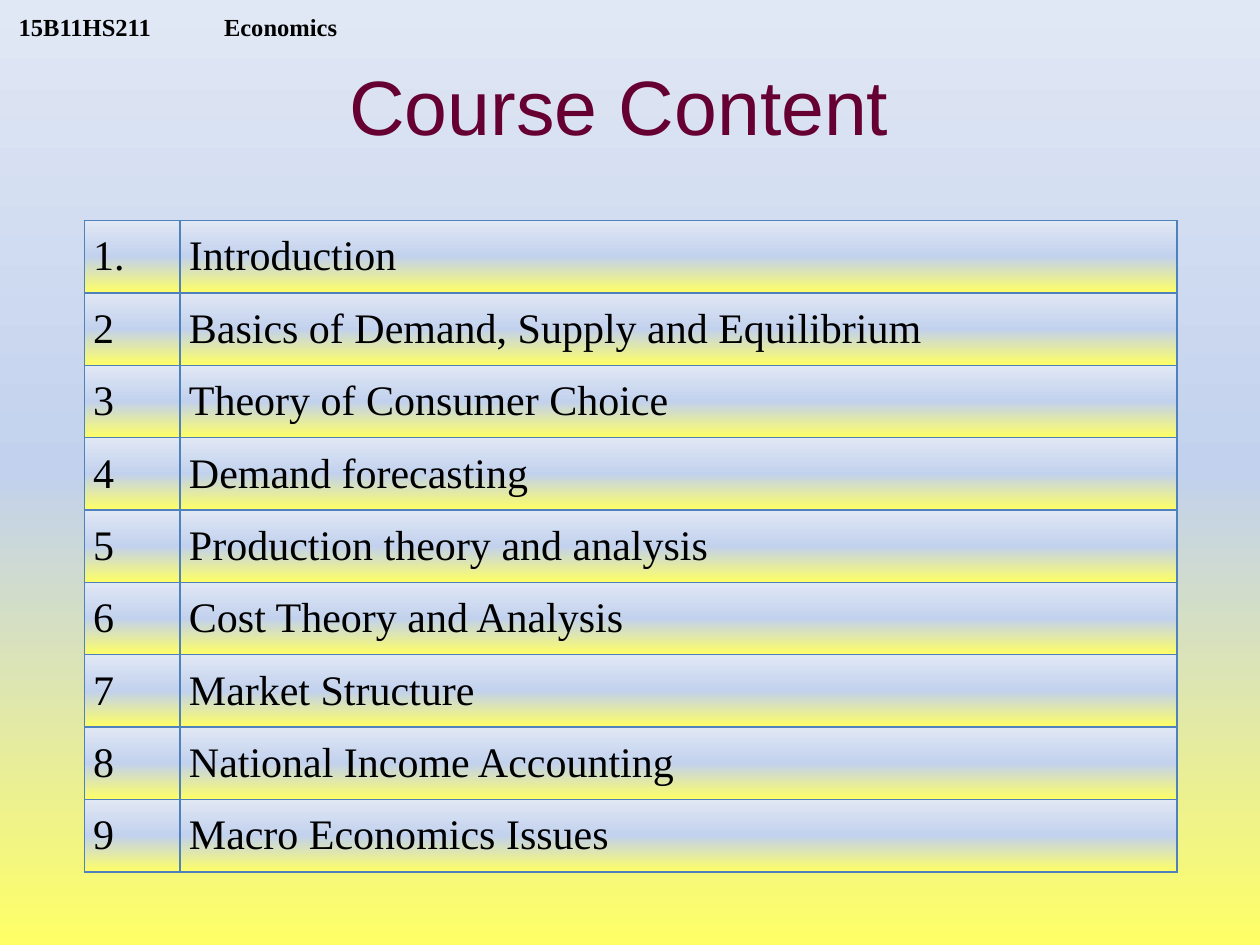
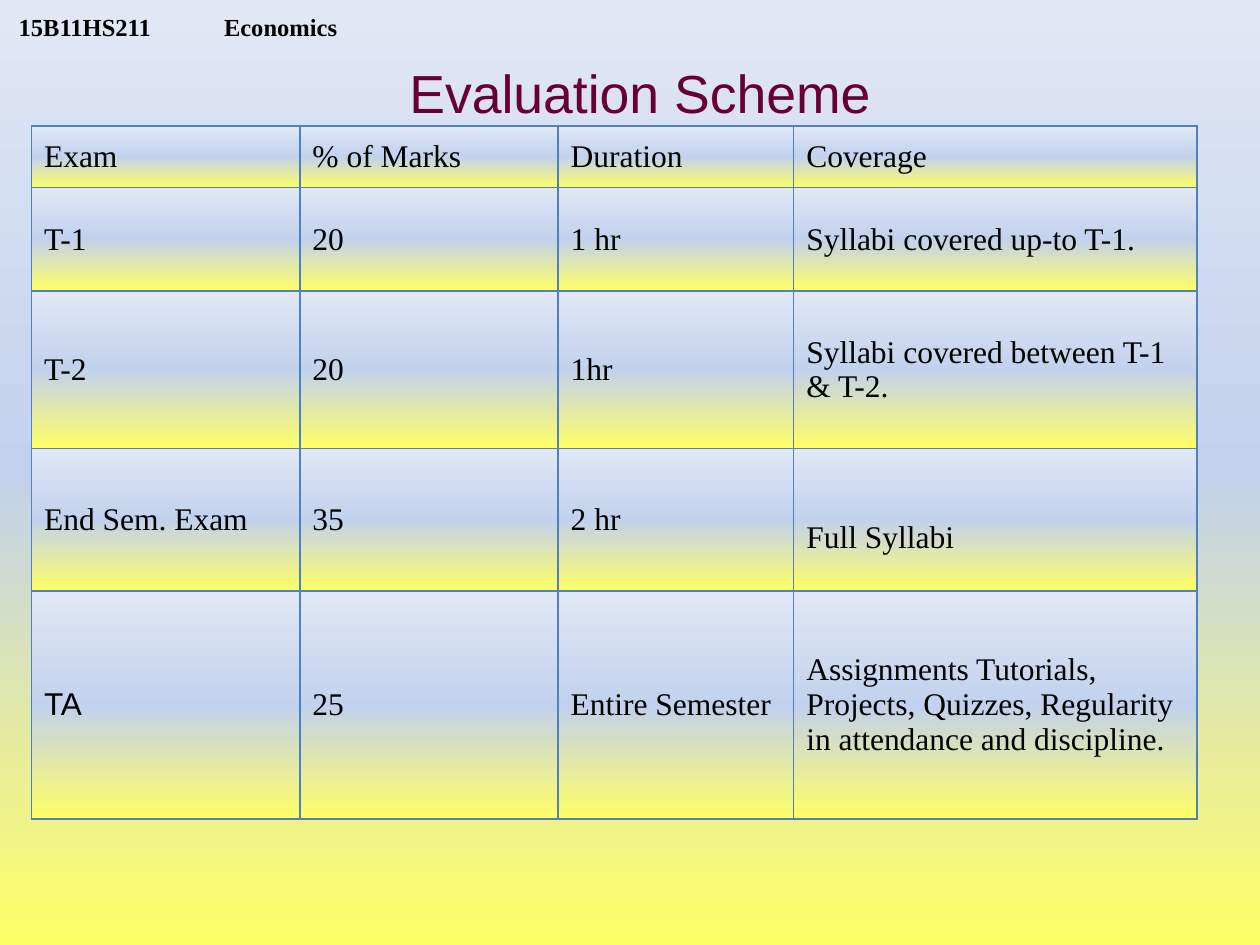
from copy import deepcopy

from lxml.etree import SubElement
from pptx import Presentation
from pptx.dml.color import RGBColor
from pptx.enum.text import MSO_ANCHOR, PP_ALIGN
from pptx.oxml import parse_xml
from pptx.oxml.ns import nsdecls, qn
from pptx.util import Inches, Pt

COLOURS = {
    "text": "000000",
    "title": "660033",
    "border": "4F81BD",
    "bottom": "FFFF66",
    "middle": "C2D1ED",
    "top": "E1E8F5",
}
SERIF, SANS = "Times New Roman", "Arial"

SLIDES = [
    {
        "title": "Course Content ",
        "title_box": (0.75, 0.41, 8.5, 0.84),
        "title_size": 44,
        "table_corner": (0.67, 1.75),
        "columns": [0.76, 7.91],
        "row_heights": [5.17 / 9] * 9,
        "text_size": 24,
        "margins": (0.07, 0),
        "rows": [
            ["1.", "Introduction"],
            ["2", "Basics of Demand, Supply and Equilibrium"],
            ["3", "Theory of Consumer Choice"],
            ["4", "Demand forecasting"],
            ["5", "Production theory and analysis"],
            ["6", "Cost Theory and Analysis"],
            ["7", "Market Structure"],
            ["8", "National Income Accounting"],
            ["9", "Macro Economics Issues"],
        ],
    },
    {
        "title": "Evaluation Scheme",
        "title_box": (0.83, 0.42, 8.5, 0.62),
        "title_size": 30.6,
        "table_corner": (0.25, 1),
        "columns": [2.13, 2.05, 1.87, 3.2],
        "row_heights": [0.49, 0.82, 1.25, 1.13, 1.81],
        "text_size": 18,
        "margins": (0.1, 0.05),
        "rows": [
            ["Exam", "% of Marks", "Duration", "Coverage"],
            ["T-1", "20", "1 hr", "Syllabi covered up-to T-1."],
            ["T-2", "20", "1hr", "Syllabi covered between T-1 & T-2."],
            ["End Sem. Exam", "35", "2 hr", "Full Syllabi"],
            ["TA", "25", "Entire Semester",
             "Assignments Tutorials, Projects, Quizzes, Regularity in attendance and discipline."],
        ],
    },
]


def fill_gradient(fill, parent):
    """Fill from yellow at the bottom to pale blue at the top; parent is the XML holding the fill."""
    fill.gradient()
    fill.gradient_angle = 90
    stops = parent.find(".//" + qn("a:gsLst"))
    stops.insert(1, deepcopy(stops[0]))
    for stop, position, name in zip(fill.gradient_stops, (0, 0.5, 1), ("bottom", "middle", "top")):
        stop.position = position
        stop.color.rgb = RGBColor.from_string(COLOURS[name])


def write_text(frame, text, size, font, colour="text", bold=False):
    frame.text = text
    frame.word_wrap = True
    for span in frame.paragraphs[0].runs:
        span.font.size = Pt(size)
        span.font.name = font
        span.font.bold = bold
        span.font.color.rgb = RGBColor.from_string(COLOURS[colour])


deck = Presentation()
deck.slide_width, deck.slide_height = Inches(10), Inches(7.5)
master_background = deck.slide_master.background
fill_gradient(master_background.fill, deck.slide_master.element.cSld)

for content in SLIDES:
    page = deck.slides.add_slide(deck.slide_layouts[6])

    # Course header, with the subject on a tab stop
    header = page.shapes.add_textbox(Inches(0.05), Inches(0), Inches(3.2), Inches(0.33)).text_frame
    write_text(header, "15B11HS211\tEconomics", 14, SERIF, bold=True)
    header.vertical_anchor = MSO_ANCHOR.BOTTOM
    header.margin_top = header.margin_bottom = 0
    tabs = SubElement(header.paragraphs[0]._p.get_or_add_pPr(), qn("a:tabLst"))
    SubElement(tabs, qn("a:tab"), pos=str(Inches(1.63)), algn="l")

    # Title
    title = page.shapes.add_textbox(*map(Inches, content["title_box"])).text_frame
    write_text(title, content["title"], content["title_size"], SANS, "title")
    title.vertical_anchor = MSO_ANCHOR.MIDDLE
    title.paragraphs[0].alignment = PP_ALIGN.CENTER

    # Table
    left, top = content["table_corner"]
    widths, heights = content["columns"], content["row_heights"]
    table = page.shapes.add_table(
        len(heights), len(widths), Inches(left), Inches(top),
        Inches(sum(widths)), Inches(sum(heights))).table
    table.first_row = table.horz_banding = False
    for column, width in zip(table.columns, widths):
        column.width = Inches(width)
    for row, height in zip(table.rows, heights):
        row.height = Inches(height)

    side_margin, end_margin = map(Inches, content["margins"])
    for row, texts in zip(table.rows, content["rows"]):
        for cell, text in zip(row.cells, texts):
            write_text(cell.text_frame, text, content["text_size"], SANS if text == "TA" else SERIF)
            cell.vertical_anchor = MSO_ANCHOR.MIDDLE
            cell.margin_left = cell.margin_right = side_margin
            cell.margin_top = cell.margin_bottom = end_margin
            if text == "Full Syllabi":
                cell.margin_top = Inches(0.33)  # sits one line lower than its row
            properties = cell._tc.get_or_add_tcPr()
            fill_gradient(cell.fill, properties)
            for place, edge in enumerate(("lnL", "lnR", "lnT", "lnB")):
                properties.insert(place, parse_xml(
                    f'<a:{edge} {nsdecls("a")} w="{Pt(1)}"><a:solidFill>'
                    f'<a:srgbClr val="{COLOURS["border"]}"/></a:solidFill></a:{edge}>'))

deck.save("out.pptx")
